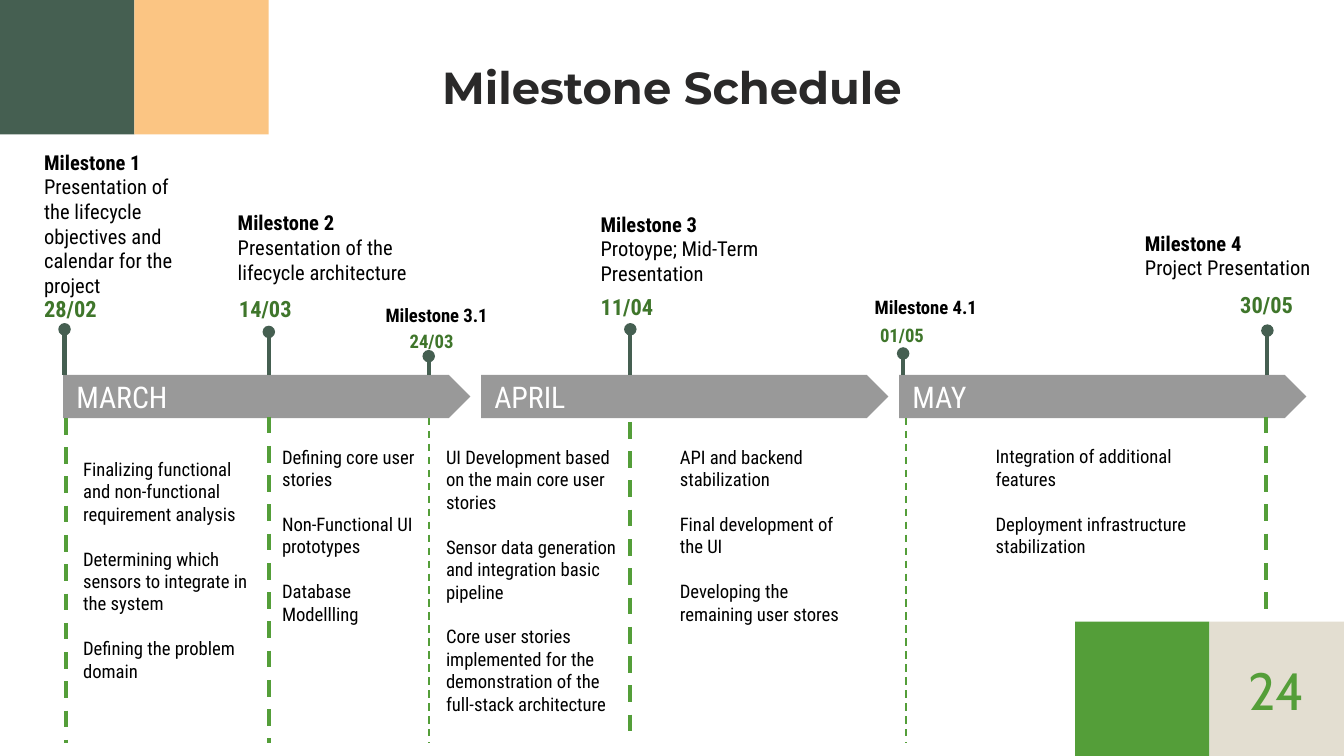
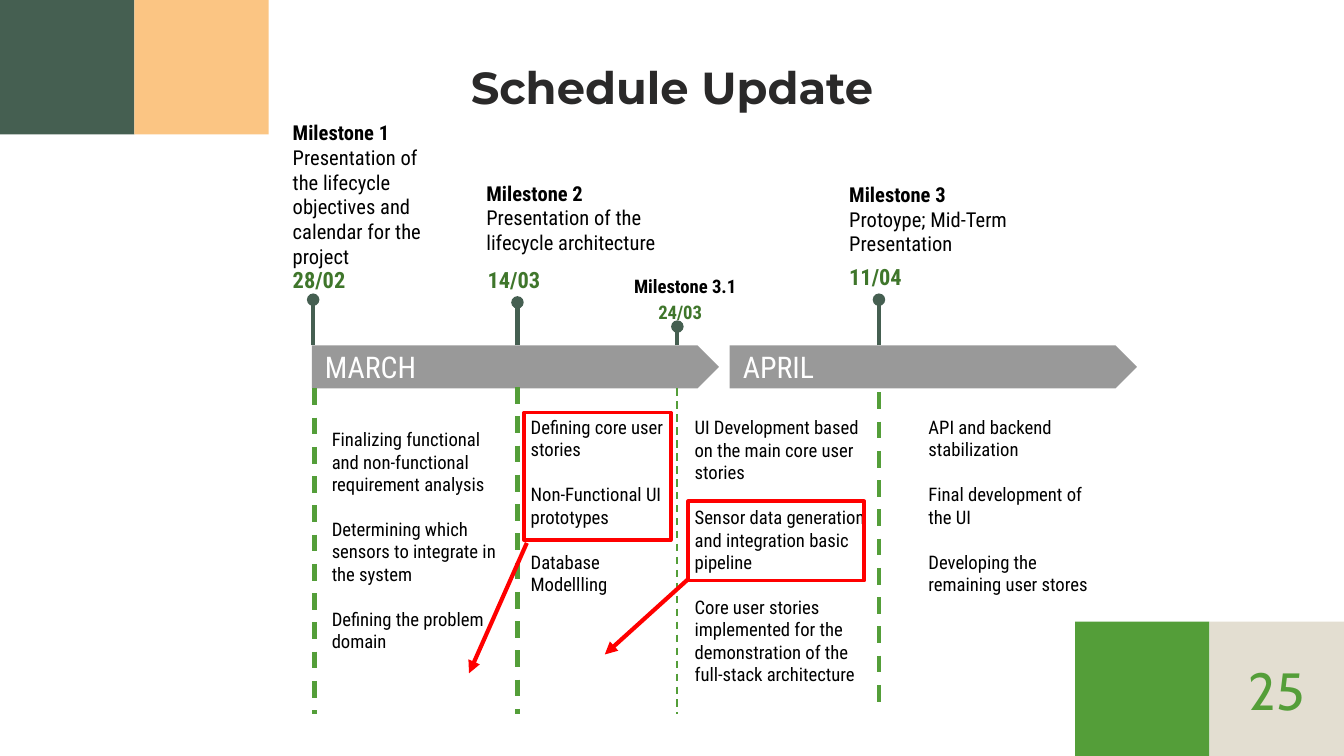
from lxml import etree
from pptx import Presentation
from pptx.dml.color import RGBColor
from pptx.enum.dml import MSO_LINE
from pptx.enum.shapes import MSO_CONNECTOR, MSO_SHAPE
from pptx.enum.text import MSO_ANCHOR, MSO_AUTO_SIZE, PP_ALIGN
from pptx.oxml.ns import qn
from pptx.util import Inches, Pt

RECTANGLE, PENTAGON = MSO_SHAPE.RECTANGLE, MSO_SHAPE.PENTAGON
LEFT, CENTER = PP_ALIGN.LEFT, PP_ALIGN.CENTER
MIDDLE = MSO_ANCHOR.MIDDLE
STRAIGHT = MSO_CONNECTOR.STRAIGHT
DASH = MSO_LINE.DASH

WIDTH, HEIGHT = 10, 5.625
FOREST, PEACH, GREEN, SAND = "455F51", "FBC583", "549E39", "E3DED1"
GREY, DATE_GREEN, INK, BLACK, WHITE, RED = "999999", "3F762B", "2A2929", "000000", "FFFFFF", "FF0000"
BODY, TITLE, NUMBER = "Roboto Condensed", "Montserrat", "Cabin"

CORNERS = [(0, 0, FOREST), (1, 0, PEACH),
           (WIDTH - 2, HEIGHT - 1, GREEN), (WIDTH - 1, HEIGHT - 1, SAND)]

MONTHS = ["MARCH", "APRIL", "MAY"]
BAR_LEFT, BAR_TOP, BAR_STEP, BAR_WIDTH, BAR_HEIGHT = 0.47, 2.79, 3.11, 3.03, 0.32
DASH_END = 5.53
TASK_TOP, TASK_LINE = 3.31, 0.168

MILESTONES = [
    dict(name="Milestone 1",
         goal="Presentation of the lifecycle objectives and calendar for the project",
         frame=(0.23, 1.11, 1.33, 1.11), date="28/02", date_at=(0.23, 2.2),
         pin=(0.48, 2.45), dash=(0.49, 3.11, DASH_END)),
    dict(name="Milestone 2", goal="Presentation of the lifecycle architecture",
         frame=(1.67, 1.25, 1.52, 1.18), date="14/03", date_at=(1.68, 2.2),
         pin=(2, 2.47), dash=(2, 3.1, DASH_END)),
    dict(name="Milestone 3.1", goal="",
         frame=(2.77, 2.12, 0.99, 0.45), date="24/03", date_at=(2.95, 2.44),
         pin=(3.19, 2.65), dash=(3.19, 3.11, DASH_END)),
    dict(name="Milestone 3", goal="Protoype; Mid-Term Presentation",
         frame=(4.37, 1.23, 2.01, 1.24), date="11/04", date_at=(4.37, 2.18),
         pin=(4.69, 2.45), dash=(4.69, 3.14, DASH_END)),
    dict(name="Milestone 4.1", goal="",
         frame=(6.41, 2.06, 0.99, 0.45), date="01/05", date_at=(6.45, 2.39),
         pin=(6.72, 2.63), dash=(6.74, 3.11, DASH_END)),
    dict(name="Milestone 4", goal="Project Presentation",
         frame=(8.42, 1.28, 1.58, 1.24), date="30/05", date_at=(9.13, 2.17),
         pin=(9.43, 2.46), dash=(9.42, 3.1, 4.6)),
]

TASKS = [
    (0.52, TASK_TOP + 0.09, 1.52, 10,
     ["Finalizing functional and non-functional requirement analysis",
      "Determining which sensors to integrate in the system",
      "Defining the problem domain"]),
    (2, TASK_TOP, 1.52, 8,
     ["Defining core user stories", "Non-Functional UI prototypes", "Database\nModellling"]),
    (3.22, TASK_TOP, 1.52, 12,
     ["UI Development based on the main core user stories",
      "Sensor data generation and integration basic pipeline",
      "Core user stories implemented for the demonstration of the full-stack architecture"]),
    (4.96, TASK_TOP, 1.52, 8,
     ["API and backend stabilization", "Final development of the UI",
      "Developing the remaining user stores"]),
    (7.31, TASK_TOP, 1.8, 5,
     ["Integration of additional features", "Deployment infrastructure stabilization"]),
]

DELAYED = [
    ((3.9, 3.07, 1.09, 0.95), (3.92, 4.04), (3.49, 5.01)),
    ((5.12, 3.73, 1.31, 0.59), (5.12, 4.31), (4.5, 4.87)),
]

SLIDES = [
    dict(title="Milestone Schedule", number="24", shift=(0, 0),
         months=3, milestones=6, tasks=5, delayed=[]),
    dict(title="Schedule Update", number="25", shift=(1.85, -0.22),
         months=2, milestones=4, tasks=4, delayed=DELAYED),
]


def color(value):
    return RGBColor.from_string(value)


def style(para, size, tone, bold=False, font=BODY, align=LEFT):
    para.alignment = align
    para.font.name = font
    para.font.size = Pt(size)
    para.font.bold = bold
    para.font.color.rgb = color(tone)


def add_block(page, kind, left, top, width, height, fill=None, outline=None):
    block = page.shapes.add_shape(kind, *map(Inches, (left, top, width, height)))
    block.shadow.inherit = False
    if fill:
        block.fill.solid()
        block.fill.fore_color.rgb = color(fill)
    else:
        block.fill.background()
    if outline:
        block.line.color.rgb = color(outline)
        block.line.width = Pt(2)
    else:
        block.line.fill.background()
    return block


def add_text(page, left, top, width, height, lines, **look):
    box = page.shapes.add_textbox(*map(Inches, (left, top, width, height)))
    frame = box.text_frame
    frame.word_wrap = True
    frame.vertical_anchor = MIDDLE
    frame.margin_top = frame.margin_bottom = 0
    frame.text = "\n".join(lines)
    for para in frame.paragraphs:
        style(para, **look)
    return frame


def add_line(page, start, finish, tone, weight=2.25, dash=None, tail=None):
    line = page.shapes.add_connector(STRAIGHT, *map(Inches, (*start, *finish)))
    line.line.color.rgb = color(tone)
    line.line.width = Pt(weight)
    if dash:
        line.line.dash_style = dash
    properties = line._element.spPr
    if tail:
        etree.SubElement(properties.find(qn("a:ln")), qn("a:tailEnd"), type=tail)
    etree.SubElement(properties, qn("a:effectLst"))


def add_frame(page, title, number):
    for left, top, fill in CORNERS:
        add_block(page, RECTANGLE, left, top, 1, 1, fill)
    heading = page.shapes.title
    heading.left, heading.top, heading.width, heading.height = map(Inches, (2.45, 0.33, 5.1, 0.63))
    heading.text_frame.text = title
    heading.text_frame.auto_size = MSO_AUTO_SIZE.NONE
    heading.text_frame.vertical_anchor = MIDDLE
    style(heading.text_frame.paragraphs[0], 24, INK, True, TITLE, CENTER)
    add_text(page, WIDTH - 1, 4.85, 1, 0.57, [number],
             size=28, tone=GREEN, font=NUMBER, align=CENTER)


def add_month(page, left, top, name):
    bar = add_block(page, PENTAGON, left, top, BAR_WIDTH, BAR_HEIGHT, GREY)
    bar.text_frame.text = name
    bar.text_frame.vertical_anchor = MIDDLE
    style(bar.text_frame.paragraphs[0], 16, WHITE)


def add_milestone(page, item, dx, dy):
    major = bool(item["goal"])
    left, top, width, height = item["frame"]
    lines = [item["name"], item["goal"]] if major else [item["name"]]
    label = add_text(page, left + dx, top + dy, width, height, lines,
                     size=11 if major else 10, tone=BLACK, bold=True)
    for para in label.paragraphs[1:]:
        para.font.bold = False
    left, top = item["date_at"]
    add_text(page, left + dx, top + dy, 0.64, 0.2, [item["date"]],
             size=12 if major else 10, tone=DATE_GREEN, bold=True)
    x, top = item["pin"]
    add_line(page, (x + dx, BAR_TOP + dy), (x + dx, top + dy), FOREST, tail="oval")
    x, top, bottom = item["dash"]
    add_line(page, (x + dx, top + dy), (x + dx, bottom + dy), GREEN,
             2.25 if major else 1, DASH)


def add_tasks(page, left, top, width, rows, blocks):
    lines = [line for block in blocks for line in block.split("\n")]
    starts = [block.split("\n")[0] for block in blocks[1:]]
    frame = add_text(page, left, top, width, rows * TASK_LINE, lines, size=10, tone=BLACK)
    for para in frame.paragraphs:
        if para.text in starts:
            para.space_before = Pt(12)


def build_slide(deck, content):
    page = deck.slides.add_slide(deck.slide_layouts[5])
    add_frame(page, content["title"], content["number"])
    dx, dy = content["shift"]
    for column, name in enumerate(MONTHS[:content["months"]]):
        add_month(page, BAR_LEFT + column * BAR_STEP + dx, BAR_TOP + dy, name)
    for item in MILESTONES[:content["milestones"]]:
        add_milestone(page, item, dx, dy)
    for left, top, width, rows, blocks in TASKS[:content["tasks"]]:
        add_tasks(page, left + dx, top + dy, width, rows, blocks)
    for frame, start, finish in content["delayed"]:
        add_block(page, RECTANGLE, *frame, outline=RED)
        add_line(page, start, finish, RED, tail="triangle")


def main():
    deck = Presentation()
    deck.slide_width, deck.slide_height = Inches(WIDTH), Inches(HEIGHT)
    for content in SLIDES:
        build_slide(deck, content)
    deck.save("out.pptx")


if __name__ == "__main__":
    main()
